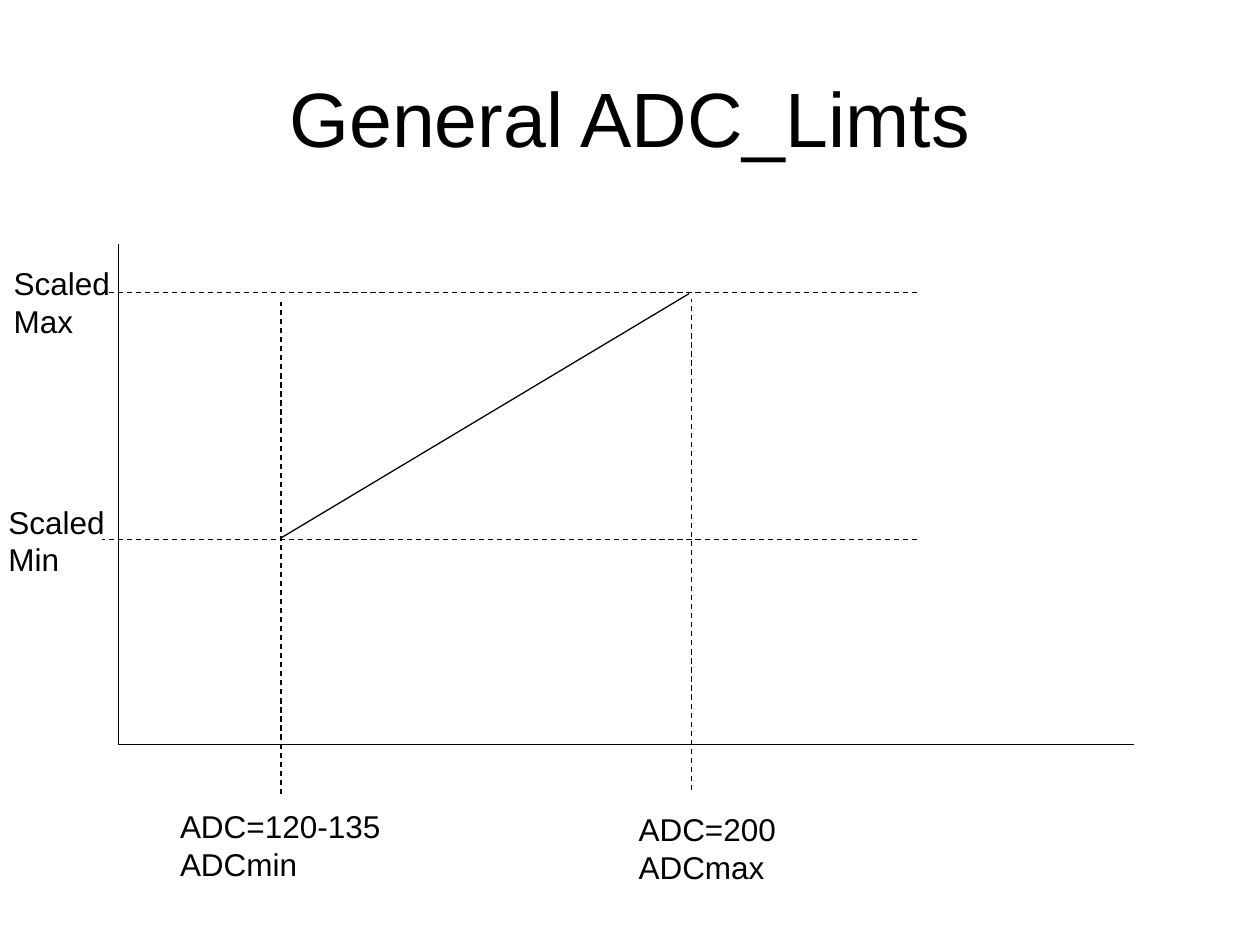
import pptx
import pptx.dml.color
import pptx.enum.dml
import pptx.enum.shapes
import pptx.enum.text
import pptx.oxml.ns
import pptx.util
from dataclasses import dataclass
from lxml import etree

Pt = pptx.util.Pt


@dataclass(frozen=True)
class Theme:
    font: str = "Arial"
    ink: pptx.dml.color.RGBColor = pptx.dml.color.RGBColor(0, 0, 0)
    title: int = 44
    label: int = 18
    line: float = 0.75


THEME = Theme()


def add_text(s, lines, x, y, w, h, size=THEME.label, align=None, anchor=None):
    sp = s.shapes.add_textbox(Pt(x), Pt(y), Pt(w), Pt(h))
    tf = sp.text_frame
    tf.word_wrap = True
    tf.vertical_anchor = anchor
    tf.text = "\n".join(lines)
    for p in tf.paragraphs:
        p.alignment = align
        p.font.name = THEME.font
        p.font.size = Pt(size)
        p.font.color.rgb = THEME.ink


def add_line(s, x1, y1, x2, y2, dashed=False):
    sp = s.shapes.add_connector(
        pptx.enum.shapes.MSO_CONNECTOR.STRAIGHT, Pt(x1), Pt(y1), Pt(x2), Pt(y2))
    sp.line.color.rgb = THEME.ink
    sp.line.width = Pt(THEME.line)
    if dashed:
        sp.line.dash_style = pptx.enum.dml.MSO_LINE.DASH
    etree.SubElement(sp._element.spPr, pptx.oxml.ns.qn("a:effectLst"))


def add_axes(s, left, top, right, bottom):
    add_line(s, left, top, left, bottom)
    add_line(s, right, bottom, left, bottom)


def main():
    prs = pptx.Presentation()
    prs.slide_width, prs.slide_height = Pt(720), Pt(540)
    s = prs.slides.add_slide(prs.slide_layouts[6])

    add_text(s, ["General ADC_Limts"], 36, 21.6, 648, 90, THEME.title,
             pptx.enum.text.PP_ALIGN.CENTER, pptx.enum.text.MSO_ANCHOR.MIDDLE)

    adc_min, adc_max = 160.6, 395.3
    scaled_max, scaled_min = 167, 308.2
    add_axes(s, 67.7, 139.7, 648, 425.5)
    add_line(s, adc_max - 1.5, scaled_max + 0.8, adc_min, scaled_min - 0.8)
    for y in (scaled_max, scaled_min):
        add_line(s, 524.2, y, 58.3, y, dashed=True)
    for x, bottom in ((adc_min, 453.6), (adc_max, 451.4)):
        add_line(s, x, bottom, x, bottom - 280.8, dashed=True)

    for lines, x, y, w in (
        (("Scaled", "Max"), 0.7, 147.6, 111.6),
        (("Scaled", "Min"), -2.2, 283.7, 100),
        (("ADC=120-135", "ADCmin"), 95.8, 457.9, 129.6),
        (("ADC=200", "ADCmax"), 357.8, 459.4, 104.4),
    ):
        add_text(s, lines, x, y, w, 50.4)

    prs.save("out.pptx")


if __name__ == "__main__":
    main()
